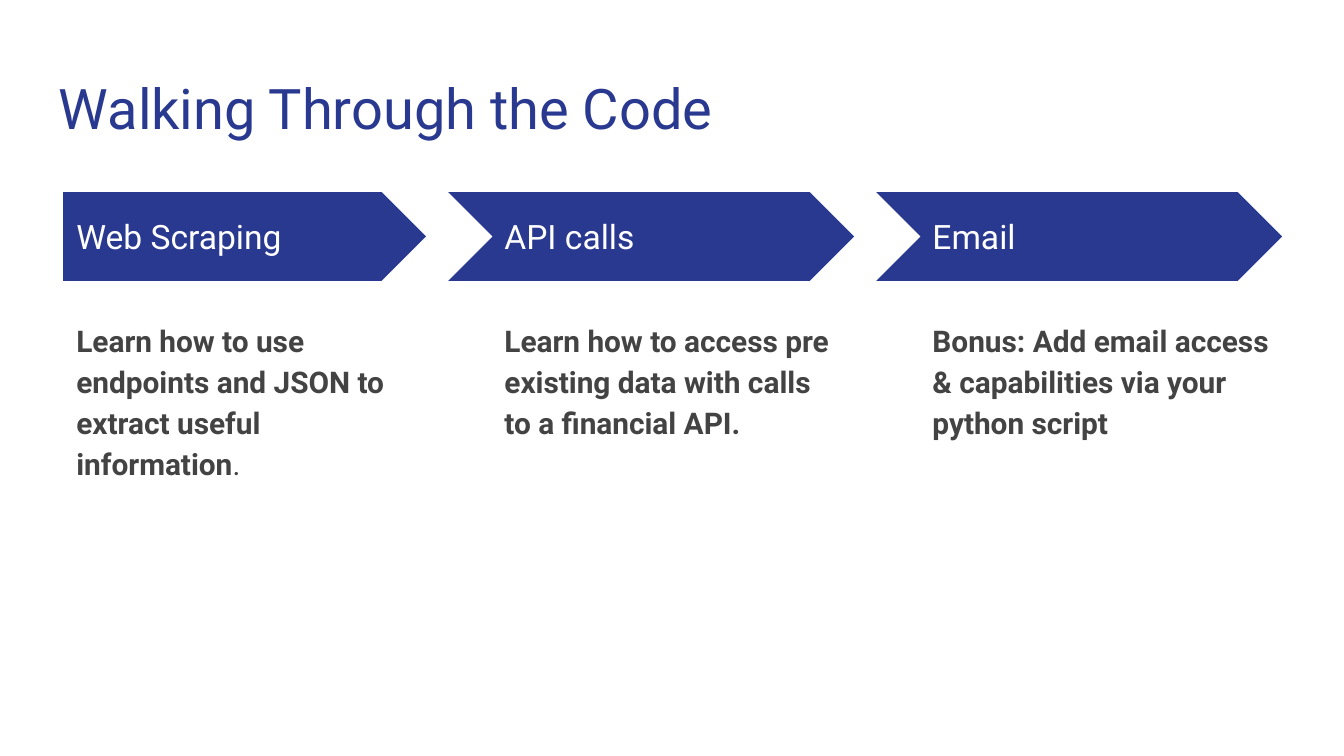
"""Build a slide with three arrow-headed steps and a note under each."""
import dataclasses

import pptx
import pptx.dml.color
import pptx.enum.shapes
import pptx.enum.text
import pptx.util

Inches = pptx.util.Inches
Pt = pptx.util.Pt
Kind = pptx.enum.shapes.MSO_SHAPE
Anchor = pptx.enum.text.MSO_ANCHOR

COLORS = {"navy": "2A3990", "white": "FFFFFF", "gray": "434343"}
TITLE = {"size": Pt(30), "bold": False, "name": "Roboto"}
HEAD = {"size": Pt(18), "bold": False, "name": "Roboto"}
NOTE = {"size": Pt(16), "bold": True, "name": "Roboto"}
PLAIN = {**NOTE, "bold": False}
LEFT, LAST, WIDE, NOTCH = 0.47, 6.84, 2.7, 0.32
STEP = (LAST - LEFT) / 2


@dataclasses.dataclass
class Stage:
    head: str
    note: str
    tail: str = ""


STAGES = [
    Stage("Web Scraping", "Learn how to use endpoints and JSON to extract useful information", "."),
    Stage("API calls", "Learn how to access pre existing data with calls to a financial API."),
    Stage("Email", "Bonus: Add email access & capabilities via your python script"),
]


def paint(color: str) -> pptx.dml.color.RGBColor:
    return pptx.dml.color.RGBColor.from_string(COLORS[color])


def write(para, text: str, color: str, style: dict) -> None:
    run = para.add_run()
    run.text = text
    run.font.color.rgb = paint(color)
    for key, value in style.items():
        setattr(run.font, key, value)


def add_text(slide, box: tuple, text: str, color: str, style: dict, anchor=Anchor.TOP):
    frame = slide.shapes.add_textbox(*map(Inches, box)).text_frame
    layout = {"word_wrap": True, "vertical_anchor": anchor}
    for side in ("left", "right", "top", "bottom"):
        layout["margin_" + side] = Inches(0.1)
    for key, value in layout.items():
        setattr(frame, key, value)
    para = frame.paragraphs[0]
    write(para, text, color, style)
    return para


def add_arrow(slide, kind: Kind, left: float, width: float) -> None:
    arrow = slide.shapes.add_shape(kind, *map(Inches, (left, 1.43, width, 0.66)))
    arrow.shadow.inherit = False
    arrow.adjustments[0] = 0.5
    arrow.fill.solid()
    arrow.fill.fore_color.rgb = paint("navy")
    arrow.line.fill.background()


def add_stage(slide, stage: Stage, rank: int) -> None:
    left = LEFT + rank * STEP
    if rank:
        add_arrow(slide, Kind.CHEVRON, left - NOTCH, WIDE + NOTCH)
    else:
        add_arrow(slide, Kind.PENTAGON, left, WIDE)
    add_text(slide, (left, 1.59, 2.47, 0.34), stage.head, "white", HEAD, Anchor.MIDDLE)
    para = add_text(slide, (left, 2.26, WIDE, 2.9), stage.note, "gray", NOTE)
    para.line_spacing = 1.15
    para.space_after = Pt(8)
    if stage.tail:
        write(para, stage.tail, "gray", PLAIN)


def main() -> None:
    deck = pptx.Presentation()
    deck.slide_width, deck.slide_height = Inches(10), Inches(10 * 9 / 16)
    slide = deck.slides.add_slide(deck.slide_layouts[6])
    add_text(slide, (0.34, 0.45, 9.32, 0.66), "Walking Through the Code", "navy", TITLE)
    for rank, stage in enumerate(STAGES):
        add_stage(slide, stage, rank)
    deck.save("out.pptx")


main()
